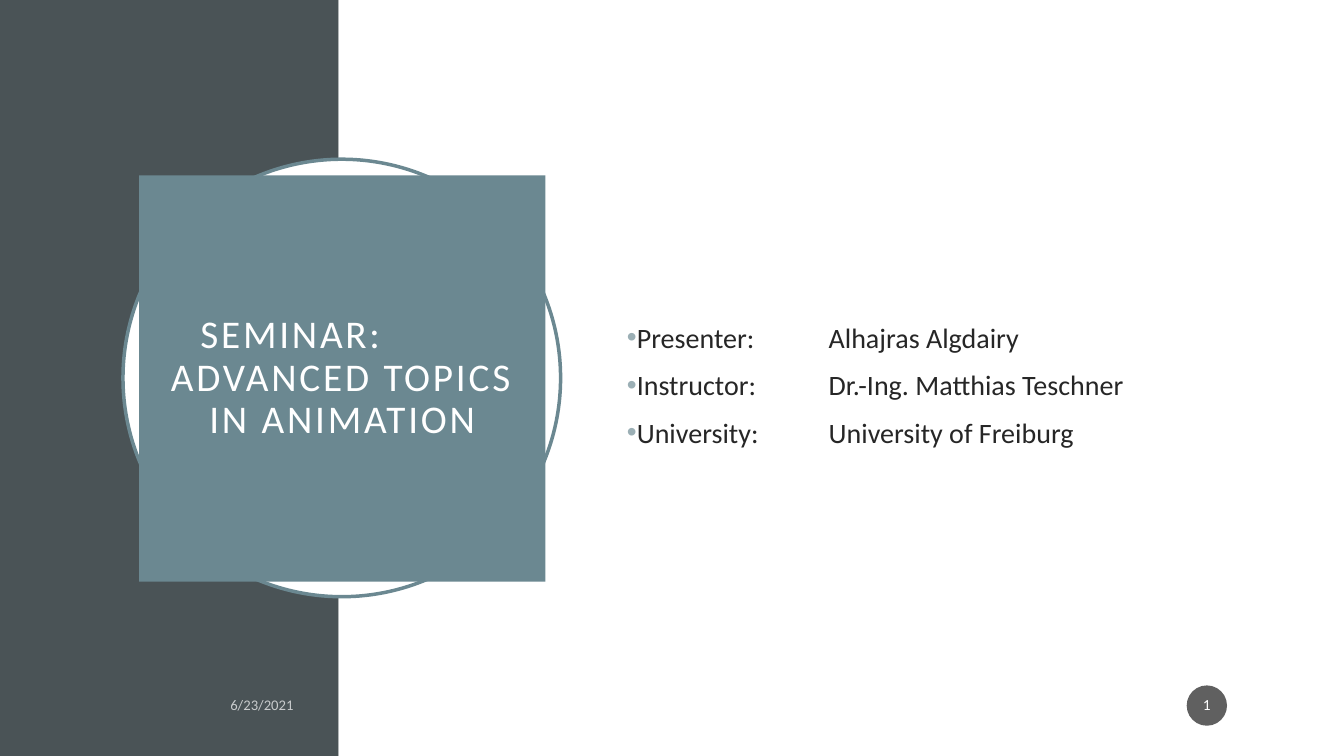
import pptx
import pptx.util
import pptx.dml.color
import pptx.enum.shapes
import pptx.enum.text
import pptx.oxml
import pptx.oxml.ns
import lxml.etree

Inches, Pt = pptx.util.Inches, pptx.util.Pt
SHAPES = pptx.enum.shapes.MSO_SHAPE
ALIGN = pptx.enum.text.PP_ALIGN

COLORS = {"slate": "4A5356", "teal": "6B8891", "white": "FFFFFF",
          "ink": "262626", "bullet": "9BAFB5", "badge": "1D1D1D"}
FONT = "Calibri"
TITLE = ["SEMINAR:", "ADVANCED TOPICS IN ANIMATION"]
TITLE_RIGHT_INDENTS = [1.03, 0]
DETAILS = [("Presenter: ", "Alhajras Algdairy"),
           ("Instructor:", "Dr.-Ing. Matthias Teschner"),
           ("University:", "University of Freiburg")]
DATE = "6/23/2021"
NUMBER = "1"
SLIDE_WIDTH, SLIDE_HEIGHT, BAND_WIDTH = 13.33, 7.5, 3.36


def rgb(name):
    return pptx.dml.color.RGBColor.from_string(COLORS[name])


def add_child(parent, tag, **attributes):
    child = lxml.etree.SubElement(parent, pptx.oxml.ns.qn(tag))
    for key, value in attributes.items():
        child.set(key, str(value))
    return child


def set_fill(target, name, opacity=None):
    """Fill a shape or font with a colour; opacity is a percentage."""
    target.fill.solid()
    target.fill.fore_color.rgb = rgb(name)
    if opacity:
        holder = target.fill._xPr.find(pptx.oxml.ns.qn("a:solidFill"))
        add_child(holder[0], "a:alpha", val=opacity * 1000)


def add_shape(page, kind, area, color, opacity=None, outline=None):
    shape = page.shapes.add_shape(kind, *map(Inches, area))
    shape.shadow.inherit = False
    set_fill(shape, color, opacity)
    if outline:
        shape.line.color.rgb = rgb(outline)
        shape.line.width = Pt(2.5)
    else:
        shape.line.fill.background()
    return shape


def write(box, lines, size, color, opacity=None, margins=(0.1, 0.05), **layout):
    """Write one paragraph per line, with shared font and paragraph layout."""
    frame = box.text_frame
    side, end = map(Inches, margins)
    settings = {"word_wrap": True, "auto_size": pptx.enum.text.MSO_AUTO_SIZE.NONE,
                "vertical_anchor": pptx.enum.text.MSO_ANCHOR.MIDDLE,
                "margin_left": side, "margin_right": side,
                "margin_top": end, "margin_bottom": end}
    for key, value in settings.items():
        setattr(frame, key, value)
    for index, line in enumerate(lines):
        para = frame.paragraphs[0] if index == 0 else frame.add_paragraph()
        for key, value in layout.items():
            setattr(para, key, value)
        span = para.add_run()
        span.text = line
        span.font.name, span.font.size = FONT, Pt(size)
        set_fill(span.font, color, opacity)
    return frame.paragraphs


def add_title(page):
    title = page.shapes.title
    page.shapes._spTree.append(title._element)
    for key, value in zip(("left", "top", "width", "height"),
                          (1.38, 1.74, 4.03, 4.03)):
        setattr(title, key, Inches(value))
    set_fill(title, "teal")
    paras = write(title, TITLE, 28, "white", margins=(0.2, 0.2),
                  alignment=ALIGN.CENTER, line_spacing=0.9,
                  space_before=Pt(0))
    for para, indent in zip(paras, TITLE_RIGHT_INDENTS):
        para.runs[0].font._element.set("spc", "200")
        para._p.get_or_add_pPr().set("marR", str(Inches(indent)))


def add_details(page):
    box = page.shapes.add_textbox(*map(Inches, (6.12, 1.6, 5.82, 4.43)))
    lines = [f"{label}\t{value}" for label, value in DETAILS]
    for para in write(box, lines, 20, "ink", space_before=Pt(10)):
        properties = para._p.get_or_add_pPr()
        properties.set("marL", "0")
        properties.set("indent", str(Inches(-0.25)))
        add_child(add_child(properties, "a:buClr"), "a:srgbClr",
                  val=COLORS["bullet"])
        add_child(properties, "a:buFont", typeface="Arial")
        add_child(properties, "a:buChar", char="•")
        add_child(add_child(properties, "a:tabLst"), "a:tab",
                  pos=Inches(2), algn="l")


def main():
    deck = pptx.Presentation()
    deck.slide_width, deck.slide_height = Inches(SLIDE_WIDTH), Inches(SLIDE_HEIGHT)
    page = deck.slides.add_slide(deck.slide_layouts[5])

    add_shape(page, SHAPES.RECTANGLE, (0, 0, BAND_WIDTH, SLIDE_HEIGHT), "slate")
    add_shape(page, SHAPES.RECTANGLE,
              (BAND_WIDTH, 0, SLIDE_WIDTH - BAND_WIDTH, SLIDE_HEIGHT), "white")
    add_shape(page, SHAPES.OVAL, (1.22, 1.58, 4.34, 4.34), "white", outline="teal")
    add_title(page)
    add_details(page)

    date = page.shapes.add_textbox(*map(Inches, (0.51, 6.82, 2.5, 0.35)))
    write(date, [DATE], 10.5, "white", opacity=70, alignment=ALIGN.RIGHT)
    badge = add_shape(page, SHAPES.OVAL, (11.77, 6.8, 0.4, 0.4), "badge", opacity=70)
    write(badge, [NUMBER], 11, "white", margins=(0.02, 0.05),
          alignment=ALIGN.CENTER, line_spacing=0.9)
    deck.save("out.pptx")


if __name__ == "__main__":
    main()
